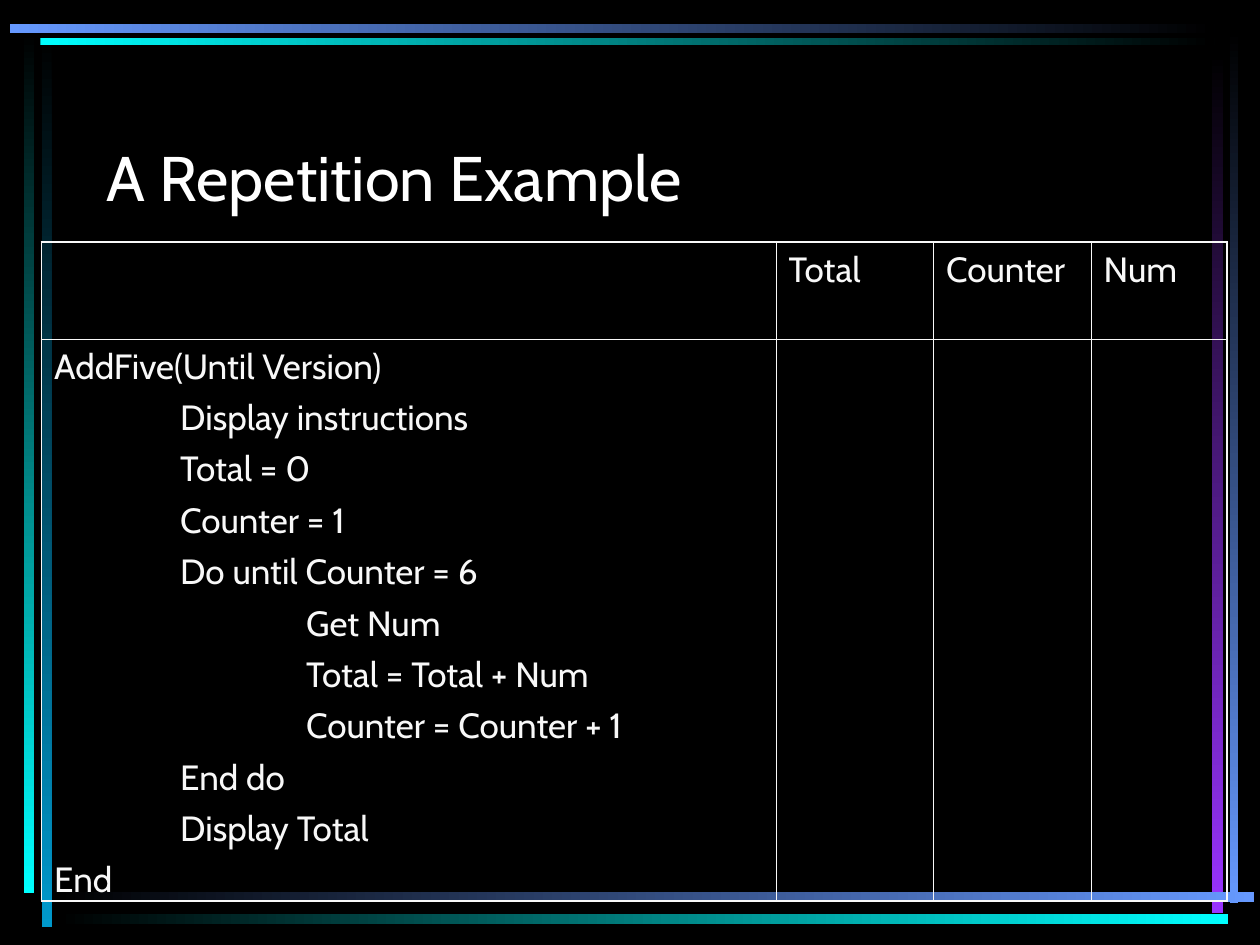
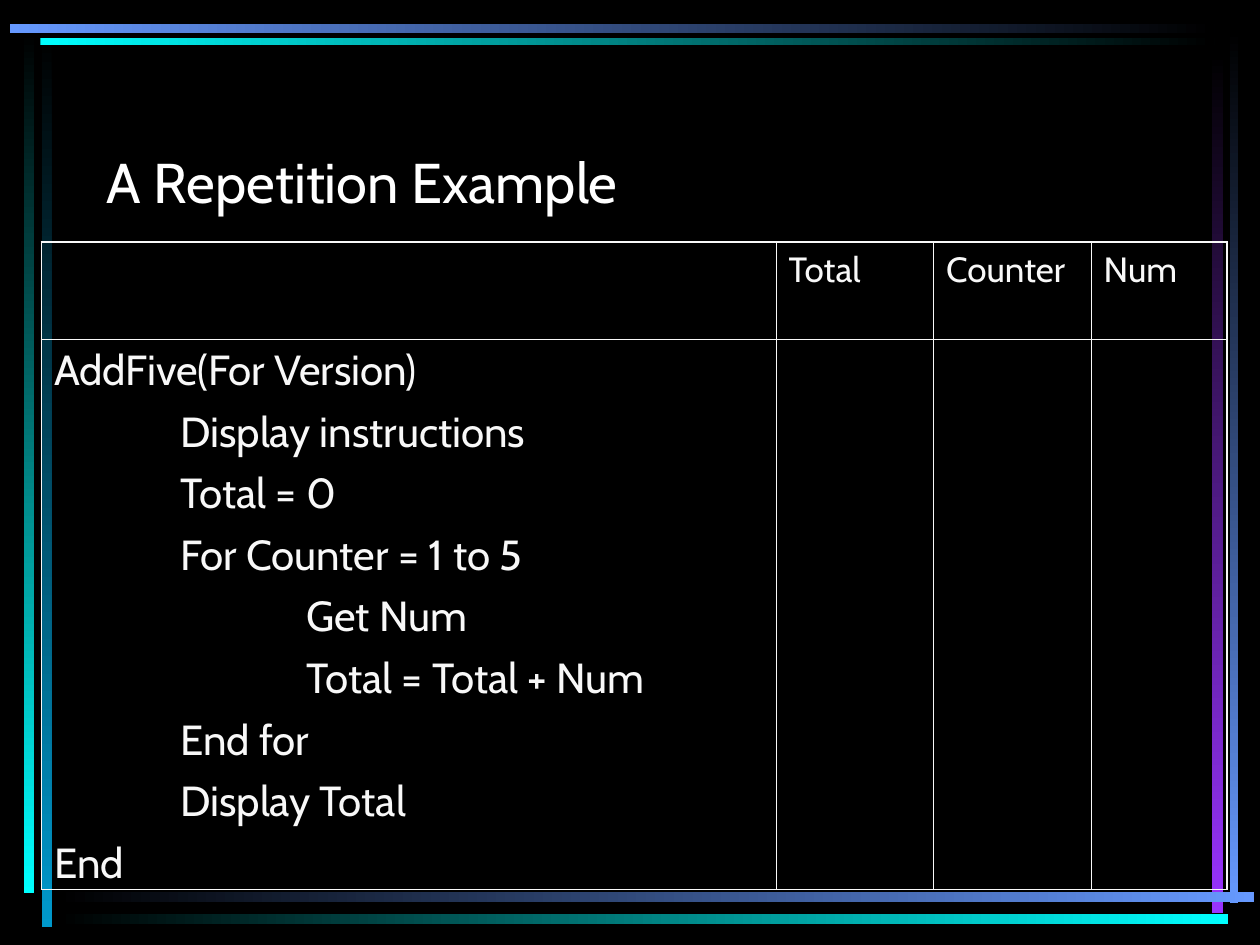
from lxml.etree import SubElement
from pptx import Presentation
from pptx.dml.color import RGBColor
from pptx.enum.shapes import MSO_SHAPE
from pptx.enum.text import MSO_ANCHOR
from pptx.oxml.ns import qn
from pptx.util import Pt

SCALE = 9144
FACE = "Cabin"
HUES = {
    "black": "000000", "white": "FFFFFF", "pale": "F8F8F8", "cyan": "00FFFF",
    "blue": "6699FF", "teal": "0099CC", "violet": "9933FF",
}
DOWN, RIGHT = 270, 0
BARS = [
    (33, 28, 8, 708, "black", "teal", DOWN),
    (19, 25, 8, 684, "black", "cyan", DOWN),
    (976, 24, 7, 693, "black", "blue", DOWN),
    (962, 42, 9, 683, "black", "violet", DOWN),
    (45, 708, 950, 8, "black", "blue", RIGHT),
    (45, 725, 930, 8, "black", "cyan", RIGHT),
    (32, 30, 932, 6, "cyan", "black", RIGHT),
    (8, 19, 956, 7, "blue", "black", RIGHT),
]
HEADS = ["Total", "Counter", "Num"]
COLS = [583, 125, 125, 108]
HEAD_ROW = 77
TAB = 100
THICK, THIN = 1.08, 0.45
UNTIL = [
    (0, "AddFive(Until Version)"),
    (1, "Display instructions"),
    (1, "Total = 0"),
    (1, "Counter = 1"),
    (1, "Do until Counter = 6"),
    (2, "Get Num"),
    (2, "Total = Total + Num"),
    (2, "Counter = Counter + 1"),
    (1, "End do"),
    (1, "Display Total"),
    (0, "End"),
]
FOR = [
    (0, "AddFive(For Version)"),
    (1, "Display instructions"),
    (1, "Total = 0"),
    (1, "For Counter = 1 to 5"),
    (2, "Get Num"),
    (2, "Total = Total + Num"),
    (1, "End for"),
    (1, "Display Total"),
    (0, "End"),
]


def px(*sizes):
    """Turn px lengths into EMU."""
    return [size * SCALE for size in sizes]


def hue(name):
    """Return the named colour."""
    return RGBColor.from_string(HUES[name])


def apply(item, **values):
    """Set each given value on the item."""
    for key, value in values.items():
        setattr(item, key, value)


def write(frame, lines, size, tint, gap=0):
    """Fill a text frame with (depth, text) lines."""
    for row, (depth, text) in enumerate(lines):
        para = frame.add_paragraph() if row else frame.paragraphs[0]
        if row:
            para.space_before = Pt(gap)
        if depth:
            para._p.get_or_add_pPr().set("marL", str(depth * TAB * SCALE))
        run = para.add_run()
        run.text = text
        apply(run.font, name=FACE, size=Pt(size), bold=False)
        run.font.color.rgb = hue(tint)


def add_bar(slide, left, top, width, height, start, end, angle):
    """Draw one fading bar of the frame."""
    bar = slide.shapes.add_shape(MSO_SHAPE.RECTANGLE, *px(left, top, width, height))
    bar.shadow.inherit = False
    bar.line.fill.background()
    bar.fill.gradient()
    bar.fill.gradient_angle = angle
    for stop, tint in zip(bar.fill.gradient_stops, (start, end)):
        stop.color.rgb = hue(tint)


def add_title(slide, text, size):
    """Add the slide title."""
    frame = slide.shapes.add_textbox(*px(75, 67, 850, 108)).text_frame
    apply(frame, word_wrap=True, vertical_anchor=MSO_ANCHOR.BOTTOM)
    write(frame, [(0, text)], size, "white")


def rule(cell, outer):
    """Draw cell borders, thick on the outer sides."""
    props = cell._tc.get_or_add_tcPr()
    for side, thick in outer.items():
        width = Pt(THICK if thick else THIN)
        line = SubElement(props, qn(f"a:ln{side}"), w=str(width))
        fill = SubElement(line, qn("a:solidFill"))
        SubElement(fill, qn("a:srgbClr"), val=HUES["pale"])


def add_trace(slide, code, size, gap, height):
    """Add the trace table: code on the left, variables on the right."""
    rows = [HEAD_ROW, height]
    place = px(33, 192, sum(COLS), sum(rows))
    table = slide.shapes.add_table(len(rows), len(COLS), *place).table
    apply(table, first_row=False, horz_banding=False)
    for col, width in zip(table.columns, COLS):
        col.width = width * SCALE
    for row, tall in zip(table.rows, rows):
        row.height = tall * SCALE
    for r in range(len(rows)):
        for c in range(len(COLS)):
            cell = table.cell(r, c)
            rule(cell, {"L": c == 0, "R": c == len(COLS) - 1,
                        "T": r == 0, "B": r == len(rows) - 1})
            cell.fill.background()
    for c, head in enumerate(HEADS, 1):
        write(table.cell(0, c).text_frame, [(0, head)], 20, "pale")
    write(table.cell(1, 0).text_frame, code, size, "pale", gap)


def add_page(deck, title, code, size, gap, height):
    """Add one framed slide with a title and a trace table."""
    slide = deck.slides.add_slide(deck.slide_layouts[6])
    for bar in BARS:
        add_bar(slide, *bar)
    add_title(slide, "A Repetition Example", title)
    add_trace(slide, code, size, gap, height)


def main():
    """Build the deck."""
    deck = Presentation()
    wide, tall = px(1000, 750)
    apply(deck, slide_width=wide, slide_height=tall)
    back = deck.slide_master.background.fill
    back.solid()
    back.fore_color.rgb = hue("black")
    add_page(deck, 36, UNTIL, 20, 5, 446)
    add_page(deck, 32, FOR, 24, 6, 437)
    deck.save("out.pptx")


if __name__ == "__main__":
    main()
